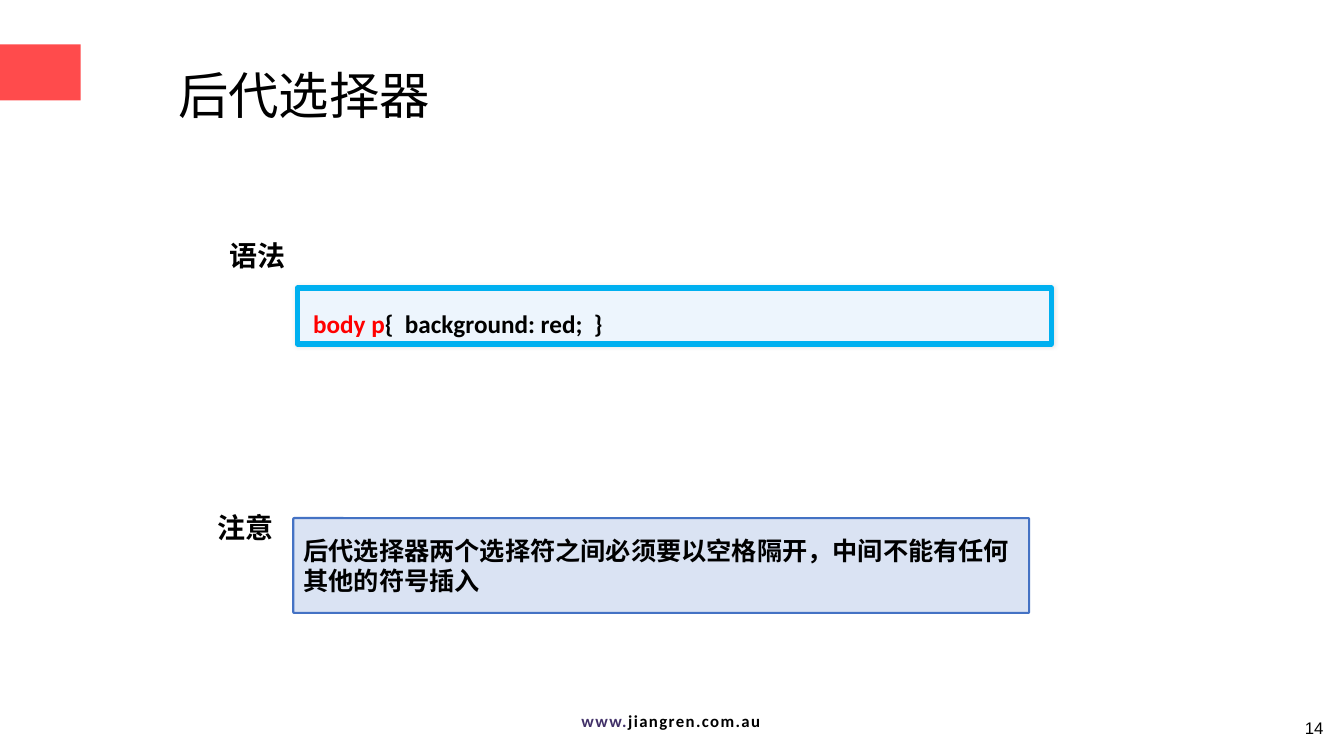
from lxml import etree
from pptx import Presentation
from pptx.dml.color import RGBColor
from pptx.enum.shapes import MSO_SHAPE
from pptx.enum.text import MSO_ANCHOR, PP_ALIGN
from pptx.oxml.ns import qn
from pptx.util import Pt

LEFT, CENTER, RIGHT = PP_ALIGN.LEFT, PP_ALIGN.CENTER, PP_ALIGN.RIGHT
TOP, MIDDLE = MSO_ANCHOR.TOP, MSO_ANCHOR.MIDDLE
RECTANGLE, ROUNDED = MSO_SHAPE.RECTANGLE, MSO_SHAPE.ROUNDED_RECTANGLE
CJK, LATIN = "Noto Sans CJK SC", "Calibri"
BLACK, RED, PURPLE = "000000", "FF0000", "413068"

# Content: runs are (text, colour), boxes are (left, top, width, height) in points
TAB = (0, 31.7, 57.6, 40)
TITLE = ([("后代选择器", BLACK)], (120.2, 49.7, 287.3, 41))
LABELS = [
    ("语法", (157, 166.3, 54.7, 31.7)),
    ("注意", (148.3, 360.7, 54.7, 31.7)),
]
CODE = ([("body p", RED), ("{  background: red;  }", BLACK)], (212.4, 205.9, 538.6, 39.6))
NOTE = (
    [("后代选择器两个选择符之间必须要以空格隔开，中间不能有任何其他的符号插入", BLACK)],
    (209.5, 370.1, 525.6, 67.7),
)
WEBSITE = ([("www.", PURPLE), ("jiangren.com.au", BLACK)], (351.4, 504, 255.6, 21.6))
PAGE_NUMBER = ([("14", BLACK)], (728.6, 505.4, 223.9, 28.8))


def color(value):
    return RGBColor.from_string(value)


def add_shadow(parent, blur, distance, angle, opacity):
    """Return an effect list with an outer shadow; lengths in points."""
    effects = etree.SubElement(parent, qn("a:effectLst"))
    shadow = etree.SubElement(
        effects, qn("a:outerShdw"), blurRad=str(Pt(blur)), dist=str(Pt(distance)),
        dir=str(angle * 60000), algn="ctr", rotWithShape="0")
    black = etree.SubElement(shadow, qn("a:srgbClr"), val=BLACK)
    etree.SubElement(black, qn("a:alpha"), val=str(opacity * 1000))
    return effects


def add_panel(slide, kind, box, fill, line=None, line_width=0):
    shape = slide.shapes.add_shape(kind, *map(Pt, box))
    shape.shadow.inherit = False
    shape.fill.solid()
    shape.fill.fore_color.rgb = color(fill)
    if line:
        shape.line.color.rgb = color(line)
        shape.line.width = Pt(line_width)
    else:
        shape.line.fill.background()
    return shape


def write(shape, runs, font, size, bold=False, align=LEFT, anchor=MIDDLE,
          wrap=True, line_spacing=1.0, character_spacing=0, shadow=False):
    frame = shape.text_frame
    frame.word_wrap = wrap
    frame.vertical_anchor = anchor
    paragraph = frame.paragraphs[0]
    paragraph.alignment = align
    paragraph.line_spacing = line_spacing
    for text, text_color in runs:
        run = paragraph.add_run()
        run.text = text
        run.font.name = font
        run.font.size = Pt(size)
        run.font.bold = bold
        run.font.color.rgb = color(text_color)
        properties = run.font._element
        east_asian = etree.Element(qn("a:ea"), typeface=font)
        properties.find(qn("a:latin")).addnext(east_asian)
        if character_spacing:
            properties.set("spc", str(character_spacing * 100))
        if shadow:
            effects = add_shadow(properties, 3, 2, 45, 45)
            properties.find(qn("a:solidFill")).addnext(effects)


def add_text(slide, runs, box, font, size, **style):
    text_box = slide.shapes.add_textbox(*map(Pt, box))
    write(text_box, runs, font, size, **style)
    return text_box


def main():
    presentation = Presentation()
    presentation.slide_width, presentation.slide_height = Pt(960), Pt(540)
    slide = presentation.slides.add_slide(presentation.slide_layouts[6])

    # Red tab, website and title
    add_panel(slide, RECTANGLE, TAB, "FF4B4C")
    website = add_text(slide, *WEBSITE, LATIN, 12, bold=True, align=CENTER,
                       anchor=TOP, character_spacing=1)
    frame = website.text_frame
    frame.margin_left = frame.margin_right = Pt(3.6)
    add_text(slide, *TITLE, CJK, 36, line_spacing=0.9)

    # Syntax example
    code_runs, code_box = CODE
    code = add_panel(slide, ROUNDED, code_box, "EDF5FD", "00B0F0", 4)
    code.adjustments[0] = 0
    properties = code._element.spPr
    properties.remove(properties.find(qn("a:effectLst")))
    add_shadow(properties, 3, 0, 0, 10)
    write(code, code_runs, LATIN, 18, bold=True, line_spacing=1.5)
    code.text_frame.margin_left = Pt(11.3)

    # Section labels
    for text, box in LABELS:
        add_text(slide, [(text, BLACK)], box, CJK, 20, bold=True, wrap=False, shadow=True)

    # Note and page number
    note_runs, note_box = NOTE
    note = add_panel(slide, ROUNDED, note_box, "DAE3F3", "4472C4", 1.5)
    note.adjustments[0] = 0.01
    write(note, note_runs, CJK, 18, bold=True)
    add_text(slide, *PAGE_NUMBER, "Arial", 12, align=RIGHT)

    presentation.save("out.pptx")


if __name__ == "__main__":
    main()
